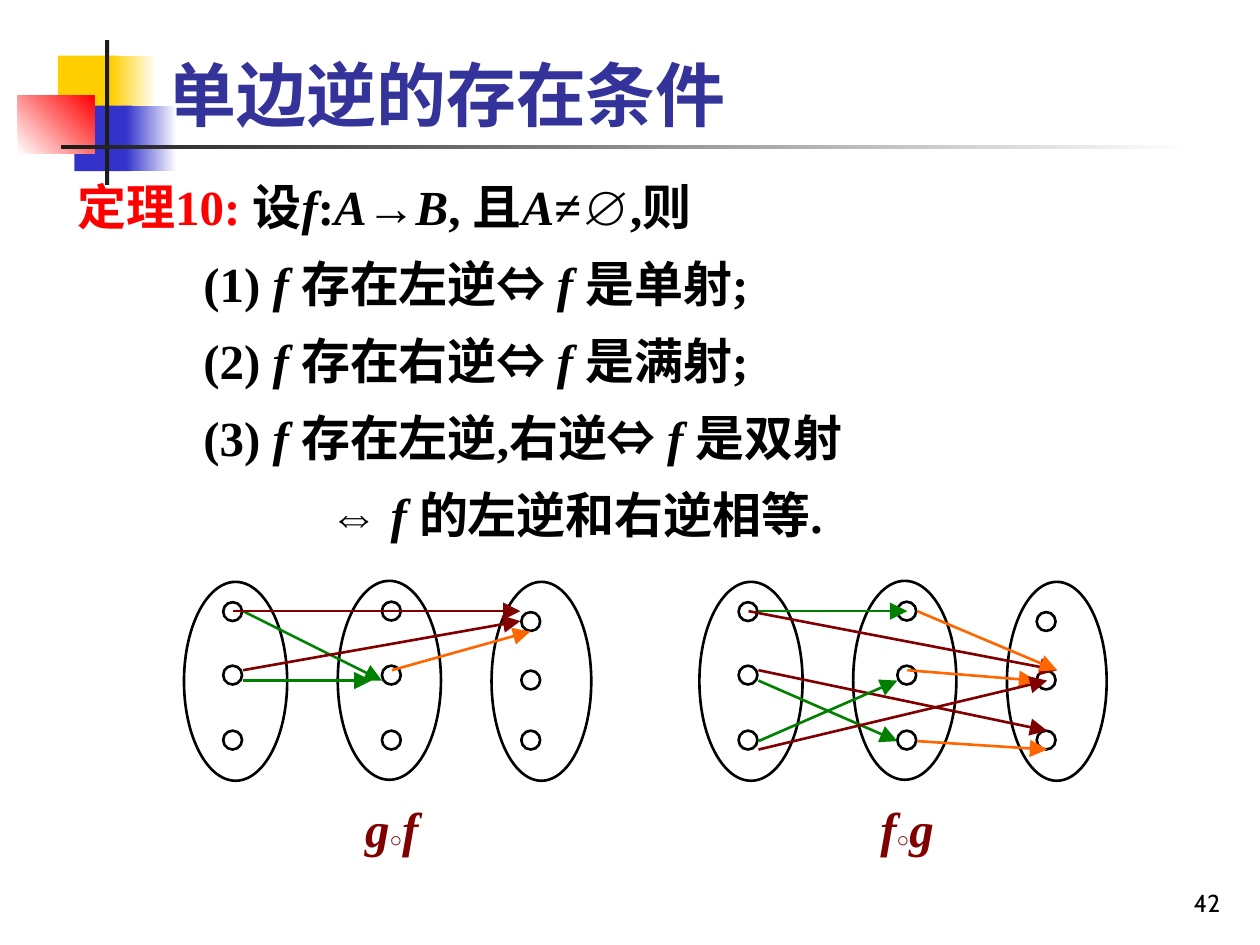
import pptx
import pptx.util
import pptx.dml.color
import pptx.enum.shapes
import pptx.enum.text
import pptx.oxml
import pptx.oxml.ns

Cm = pptx.util.Cm
Pt = pptx.util.Pt
KIND = pptx.enum.shapes.MSO_SHAPE
ALIGN = pptx.enum.text.PP_ALIGN
ANCHOR = pptx.enum.text.MSO_ANCHOR

HUES = {
    "black": "000000", "white": "FFFFFF", "ink": "1C1C1C",
    "gold": "FFCF01", "blue": "3333CC", "red": "FF0000",
    "title": "333399", "maroon": "800000",
    "green": "008000", "orange": "FF6600",
}


def rgb(hue):
    return pptx.dml.color.RGBColor.from_string(HUES[hue])


def node(tag, attrs=""):
    """Empty drawing element."""
    return pptx.oxml.parse_xml(
        "<a:%s %s %s/>" % (tag, pptx.oxml.ns.nsdecls("a"), attrs))


class Page:
    """Style and current slide."""
    font = "Times New Roman"
    width = Pt(1.5)

    def __init__(self, deck):
        self.slide = deck.slides.add_slide(deck.slide_layouts[5])
        self.shapes = self.slide.shapes

    def run(self, para, text, size=28, hue="black", bold=True,
            italic=False, font=None):
        run = para.add_run()
        run.text = text
        run.font.name = font or self.font
        run.font.size = Pt(size)
        run.font.bold = bold
        run.font.italic = italic
        run.font.color.rgb = rgb(hue)

    def title(self, text, box):
        shape = self.shapes.title
        shape.left, shape.top, shape.width, shape.height = map(Cm, box)
        frame = shape.text_frame
        frame.auto_size = pptx.enum.text.MSO_AUTO_SIZE.NONE
        frame.vertical_anchor = ANCHOR.BOTTOM
        para = frame.paragraphs[0]
        para.alignment = ALIGN.LEFT
        self.run(para, text, 40, "title")

    def text(self, box, anchor=ANCHOR.TOP):
        frame = self.shapes.add_textbox(*map(Cm, box)).text_frame
        frame.word_wrap = True
        frame.vertical_anchor = anchor
        return frame

    def space(self, para):
        para.line_spacing = 1.1
        para.space_before = Pt(7)

    def tabs(self, para, *stops):
        group = node("tabLst")
        for stop in stops:
            group.append(node("tab", 'pos="%d" algn="l"' % Cm(stop)))
        para._p.get_or_add_pPr().append(group)

    def block(self, box, hue, end=None, angle=0):
        """Plain bar, or one that fades from hue to end."""
        shape = self.shapes.add_shape(KIND.RECTANGLE, *map(Cm, box))
        shape.shadow.inherit = False
        shape.line.fill.background()
        if end:
            shape.fill.gradient()
            shape.fill.gradient_angle = angle
            for stop, name in zip(shape.fill.gradient_stops, (hue, end)):
                stop.color.rgb = rgb(name)
        else:
            shape.fill.solid()
            shape.fill.fore_color.rgb = rgb(hue)

    def oval(self, *box):
        shape = self.shapes.add_shape(KIND.OVAL, *map(Cm, box))
        shape.shadow.inherit = False
        shape.fill.background()
        shape.line.color.rgb = rgb("black")
        shape.line.width = self.width

    def arrow(self, hue, *ends):
        line = self.shapes.add_connector(
            pptx.enum.shapes.MSO_CONNECTOR.STRAIGHT, *map(Cm, ends))
        line.line.color.rgb = rgb(hue)
        line.line.width = self.width
        props = line._element.spPr
        props.find(pptx.oxml.ns.qn("a:ln")).append(
            node("tailEnd", 'type="triangle" w="lg" len="lg"'))
        props.append(node("effectLst"))

    def map(self, shift, names, arrows):
        """Three sets with three points each, their arrows and a label."""
        tops = (11.73, 11.71, 11.73)
        for col, (top, wide) in enumerate(zip(tops, (2.08, 2.08, 2.01))):
            self.oval(3.71 + 3.1 * col + shift, top, wide, 4.01)
        for left, rows in POINTS:
            for top in rows:
                self.oval(left + shift, top, 0.38, 0.38)
        para = self.text((7.11 + shift, 15.85, 2.39, 1.57)).paragraphs[0]
        self.space(para)
        first, last = names
        self.run(para, first, hue="maroon", italic=True)
        self.run(para, "○", 12, "maroon")
        self.run(para, last, hue="maroon", italic=True)
        for hue, x1, y1, x2, y2 in arrows:
            self.arrow(hue, x1 + shift, y1, x2 + shift, y2)


# Left edge and tops of the points in each set
POINTS = [
    (4.5, (12.14, 13.42, 14.73)),
    (7.7, (12.13, 13.42, 14.73)),
    (10.51, (12.34, 13.52, 14.73)),
]

# Theorem lines: upright and italic runs take turns
LINES = [
    ["设", "f", ":", "A", "→", "B", ", 且", "A", "≠∅,则"],
    ["\t(1) ", "f ", "存在左逆⇔ ", "f ", "是单射;"],
    ["\t(2) ", "f ", "存在右逆⇔ ", "f ", "是满射;"],
    ["\t(3) ", "f ", "存在左逆,右逆⇔ ", "f ", "是双射"],
    ["\t\t⇔ ", "f ", "的左逆和右逆相等."],
]

LEFT = [
    ("green", 4.9, 12.32, 7.7, 13.72),
    ("green", 4.9, 13.72, 7.49, 13.72),
    ("orange", 7.9, 13.51, 10.69, 12.73),
    ("maroon", 4.7, 12.32, 10.49, 12.32),
    ("maroon", 4.9, 13.51, 10.49, 12.52),
]

RIGHT = [
    ("green", 4.9, 12.32, 7.9, 12.32),
    ("green", 4.9, 13.72, 7.7, 14.94),
    ("orange", 7.9, 13.51, 10.5, 13.72),
    ("maroon", 4.7, 12.32, 10.92, 13.51),
    ("maroon", 4.9, 13.51, 10.72, 14.73),
    ("green", 4.9, 14.94, 7.7, 13.72),
    ("maroon", 4.9, 15.11, 10.72, 13.72),
    ("orange", 8.1, 12.32, 10.92, 13.51),
    ("orange", 8.1, 14.94, 10.72, 15.11),
]


def main():
    deck = pptx.Presentation()
    deck.slide_width, deck.slide_height = Cm(25.4), Cm(19.05)
    page = Page(deck)

    # Corner ornament
    page.block((1.17, 1.12, 1.22, 1.32), "gold")
    page.block((2.24, 1.12, 0.91, 1.32), "gold", "white")
    page.block((1.5, 2.13, 1.17, 1.32), "blue")
    page.block((2.54, 2.13, 1.02, 1.32), "blue", "white")
    page.block((0.36, 1.93, 1.55, 1.17), "white", "red", 45)
    page.block((2.12, 0.81, 0.08, 2.92), "ink")
    page.block((1.23, 2.92, 22.86, 0.08), "ink", "white")

    # Title and page number
    page.title("单边逆的存在条件", (3.1, 0.73, 21.64, 2.13))
    para = page.text((19.57, 17.34, 5.28, 1.27), ANCHOR.BOTTOM).paragraphs[0]
    para.alignment = ALIGN.RIGHT
    page.run(para, "42", 14, bold=False, font="Cabin")

    # Theorem
    frame = page.text((1.31, 3.32, 23.19, 13.79))
    for row, parts in enumerate(LINES):
        para = frame.add_paragraph() if row else frame.paragraphs[0]
        page.space(para)
        page.tabs(para, 2.54, 5.08)
        if row == 0:
            page.run(para, "定理10: ", hue="red")
        for turn, part in enumerate(parts):
            page.run(para, part, italic=turn % 2 == 1)

    # Diagrams
    page.map(0, "gf", LEFT)
    page.map(10.39, "fg", RIGHT)

    deck.save("out.pptx")


if __name__ == "__main__":
    main()
